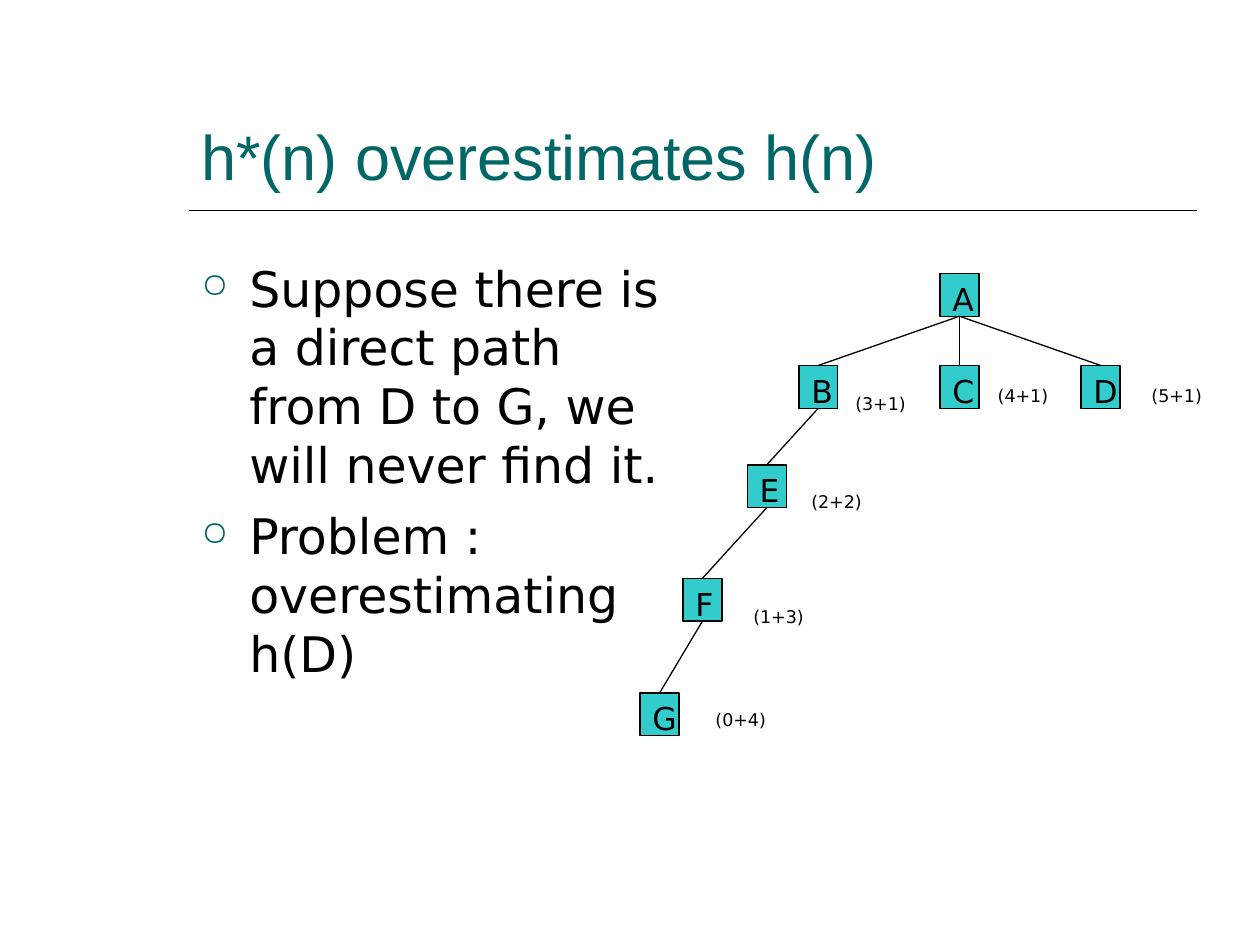
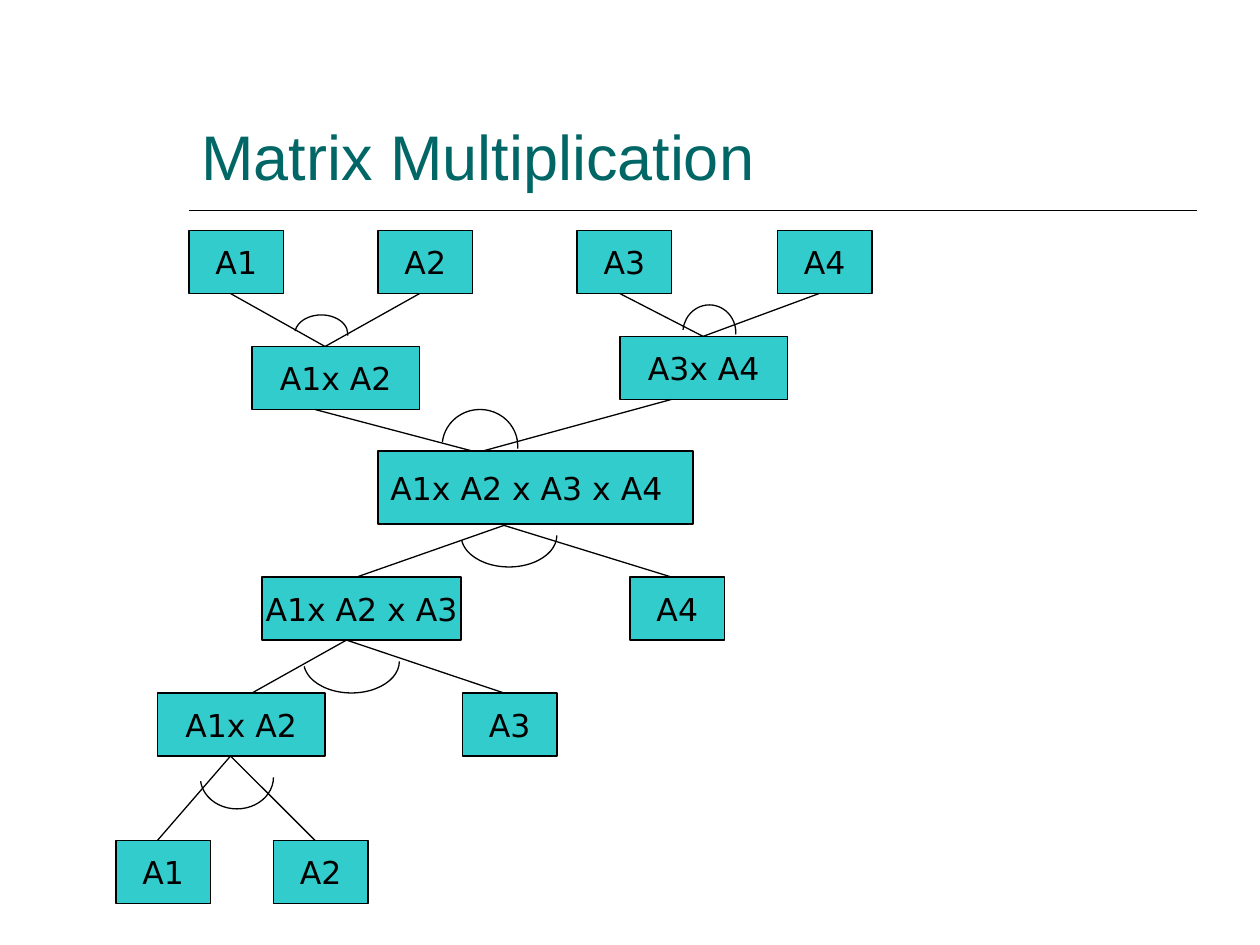
from dataclasses import dataclass

from lxml.etree import SubElement
from pptx import Presentation
from pptx.dml.color import RGBColor
from pptx.enum.shapes import MSO_CONNECTOR, MSO_SHAPE
from pptx.enum.text import MSO_ANCHOR, PP_ALIGN
from pptx.oxml.ns import qn
from pptx.util import Inches, Pt


@dataclass(frozen=True)
class Theme:
    teal: str = "006666"
    aqua: str = "33CCCC"
    ink: str = "000000"
    head: str = "Arial"
    body: str = "DejaVu Sans"
    title: int = 36
    text: int = 28
    node: int = 18
    note: int = 10
    rule: float = 1
    line: float = 0.75


class Deck:
    def __init__(self, theme):
        self.theme = theme
        self.show = Presentation()
        self.show.slide_width = Inches(10)
        self.show.slide_height = Inches(7.5)
        self.slide = None

    def page(self, title):
        t = self.theme
        self.slide = self.show.slides.add_slide(self.show.slide_layouts[6])
        self.link((1.5, 1.67), (9.5, 1.67), t.rule)
        frame = self.text(1.5, 0.33, 8, 1.25, title, t.title, t.head, t.teal)
        frame.vertical_anchor = MSO_ANCHOR.BOTTOM

    def style(self, frame, size, face=None, color=None):
        t = self.theme
        for para in frame.paragraphs:
            for run in para.runs:
                run.font.size = Pt(size)
                run.font.name = face or t.body
                run.font.color.rgb = RGBColor.from_string(color or t.ink)

    def text(self, x, y, w, h, words, size, face=None, color=None):
        box = self.slide.shapes.add_textbox(Inches(x), Inches(y), Inches(w), Inches(h))
        frame = box.text_frame
        frame.word_wrap = True
        frame.text = words
        self.style(frame, size, face, color)
        return frame

    def list(self, x, y, w, h, items):
        t = self.theme
        frame = self.text(x, y, w, h, "\n".join(items), t.text)
        for i, para in enumerate(frame.paragraphs):
            props = para._p.get_or_add_pPr()
            props.set("marL", str(Inches(0.38)))
            props.set("indent", str(Inches(-0.38)))
            if i:
                para.space_before = Pt(7)
            tint = SubElement(props, qn("a:buClr"))
            SubElement(tint, qn("a:srgbClr"), val=t.teal)
            SubElement(props, qn("a:buSzPct"), val="70000")
            SubElement(props, qn("a:buChar"), char="○")

    def shape(self, kind, x, y, w, h):
        t = self.theme
        shape = self.slide.shapes.add_shape(kind, Inches(x), Inches(y), Inches(w), Inches(h))
        shape.shadow.inherit = False
        shape.line.color.rgb = RGBColor.from_string(t.ink)
        shape.line.width = Pt(t.line)
        return shape

    def box(self, x, y, w, h, words, align=PP_ALIGN.CENTER, anchor=MSO_ANCHOR.MIDDLE, wrap=False):
        t = self.theme
        shape = self.shape(MSO_SHAPE.RECTANGLE, x, y, w, h)
        shape.fill.solid()
        shape.fill.fore_color.rgb = RGBColor.from_string(t.aqua)
        frame = shape.text_frame
        frame.word_wrap = wrap
        frame.vertical_anchor = anchor
        frame.text = words
        frame.paragraphs[0].alignment = align
        self.style(frame, t.node)
        return shape

    def arc(self, x, y, rx, ry, start, end):
        shape = self.shape(MSO_SHAPE.ARC, x - rx, y - ry, 2 * rx, 2 * ry)
        shape.fill.background()
        shape.adjustments[0] = start * 0.6
        shape.adjustments[1] = end * 0.6

    def link(self, start, end, width=None):
        t = self.theme
        ends = [Inches(v) for v in (*start, *end)]
        line = self.slide.shapes.add_connector(MSO_CONNECTOR.STRAIGHT, *ends)
        line.line.color.rgb = RGBColor.from_string(t.ink)
        line.line.width = Pt(width or t.line)
        SubElement(line._element.spPr, qn("a:effectLst"))
        return line

    def join(self, top, low):
        line = self.link((0, 0), (1, 1))
        line.begin_connect(top, 2)
        line.end_connect(low, 0)


def search(deck):
    deck.page("h*(n) overestimates h(n)")
    deck.list(1.5, 2, 3.91, 4.5, [
        "Suppose there is a direct path from D to G, we will never find it.",
        "Problem : overestimating h(D)",
    ])
    spots = {
        "A": (7.46, 2.17), "B": (6.34, 2.9), "C": (7.46, 2.9), "D": (8.58, 2.9),
        "E": (5.93, 3.69), "F": (5.42, 4.59), "G": (5.08, 5.5),
    }
    nodes = {
        name: deck.box(x, y, 0.31, 0.34, name, PP_ALIGN.LEFT, MSO_ANCHOR.TOP, True)
        for name, (x, y) in spots.items()
    }
    for top, low in ("AB", "AC", "AD", "BE", "EF", "FG"):
        deck.join(nodes[top], nodes[low])
    for cost, x, y in [
        ("(3+1)", 6.69, 3.07), ("(4+1)", 7.82, 3.01), ("(5+1)", 9.04, 3.01),
        ("(2+2)", 6.34, 3.85), ("(1+3)", 5.88, 4.76), ("(0+4)", 5.58, 5.58),
    ]:
        deck.text(x, y, 0.75, 0.27, cost, deck.theme.note)


def matrix(deck):
    deck.page("Matrix Multiplication")
    deck.box(3, 3.58, 2.5, 0.58, "A1x A2 x A3 x A4", PP_ALIGN.LEFT)
    single, pair, triple = 0.75, 1.33, 1.58
    for words, x, y, w in [
        ("A1", 1.5, 1.83, single), ("A2", 3, 1.83, single),
        ("A3", 4.58, 1.83, single), ("A4", 6.17, 1.83, single),
        ("A1x A2", 2, 2.75, pair), ("A3x A4", 4.92, 2.67, pair),
        ("A1x A2 x A3", 2.08, 4.58, triple), ("A4", 5, 4.58, single),
        ("A1x A2", 1.25, 5.5, pair), ("A3", 3.67, 5.5, single),
        ("A1", 0.92, 6.67, single), ("A2", 2.17, 6.67, single),
    ]:
        deck.box(x, y, w, 0.5, words)
    for hub, *ends in [
        ((2.58, 2.75), (1.83, 2.33), (3.33, 2.33)),
        ((5.58, 2.67), (4.92, 2.33), (6.5, 2.33)),
        ((3.75, 3.58), (2.5, 3.25)),
        ((3.83, 3.58), (5.33, 3.17)),
        ((4, 4.17), (2.83, 4.58), (5.33, 4.58)),
        ((2.75, 5.08), (2, 5.5), (4, 5.5)),
        ((1.83, 6), (1.25, 6.67), (2.5, 6.67)),
    ]:
        for end in ends:
            deck.link(hub, end)
    for x, y, rx, ry in [(2.55, 2.65, 0.21, 0.15), (5.63, 2.64, 0.21, 0.22), (3.81, 3.54, 0.3, 0.29)]:
        deck.arc(x, y, rx, ry, 186, 4)
    for x, y, rx in [(4.04, 4.25, 0.38), (2.79, 5.25, 0.38), (1.88, 6.17, 0.29)]:
        deck.arc(x, y, rx, 0.25, 0, 174)


def main():
    deck = Deck(Theme())
    search(deck)
    matrix(deck)
    deck.show.save("out.pptx")


if __name__ == "__main__":
    main()
